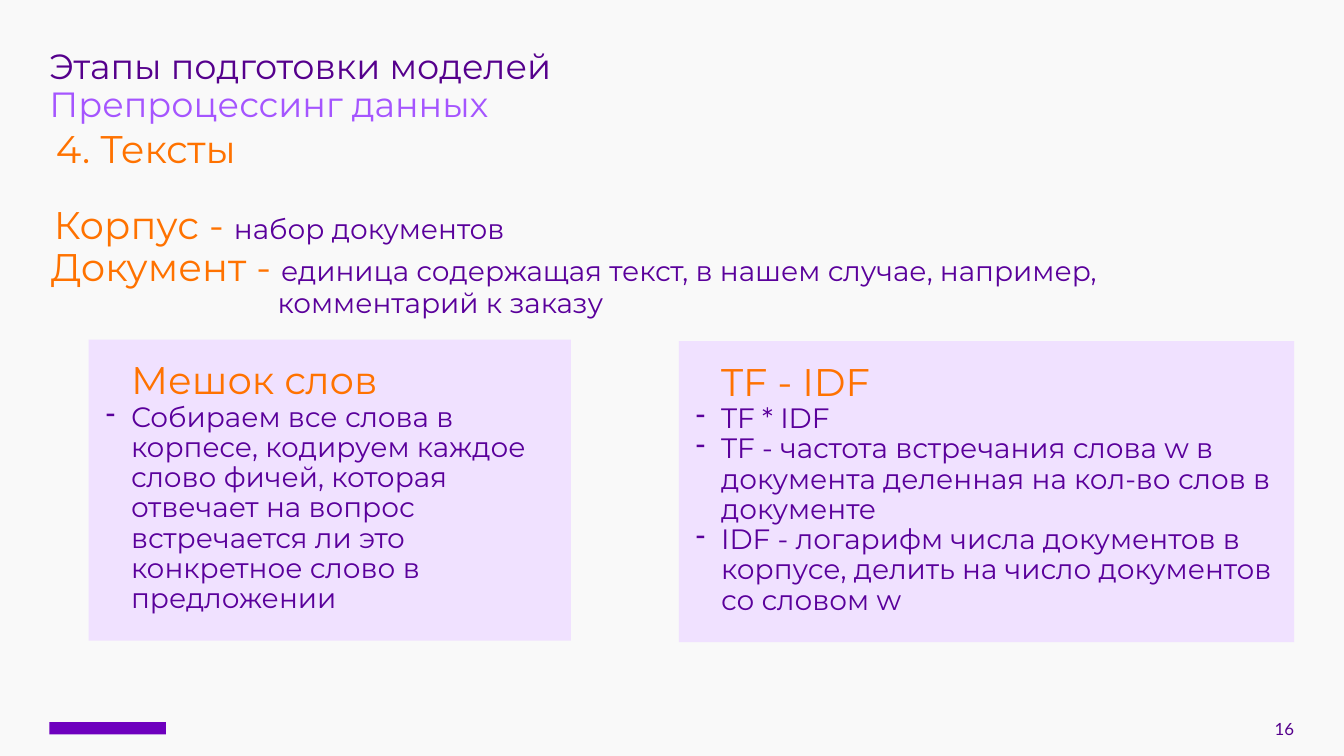
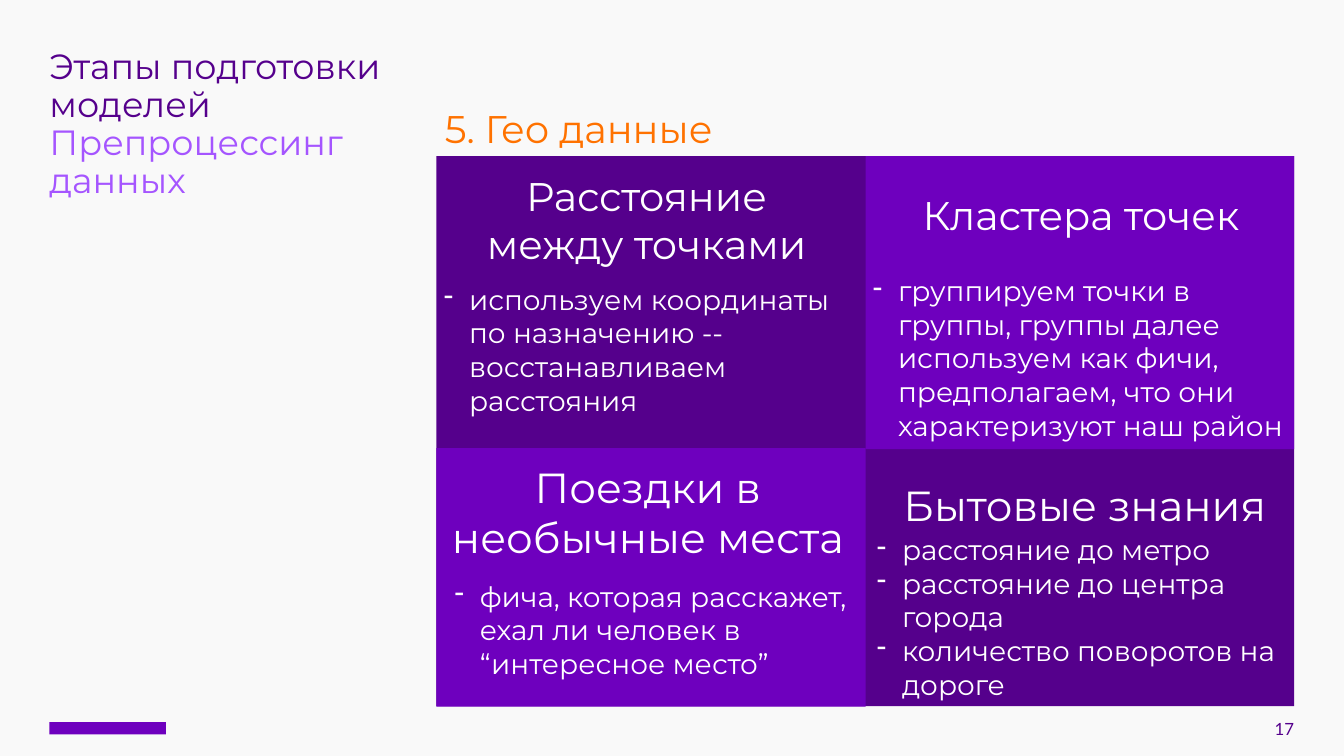
from lxml.etree import SubElement
from pptx import Presentation
from pptx.dml.color import RGBColor
from pptx.enum.shapes import MSO_SHAPE as Preset
from pptx.enum.text import MSO_ANCHOR as Anchor, PP_ALIGN as Align
from pptx.oxml.ns import qn
from pptx.util import Inches, Pt

COLORS = {
    "background": "F9F9F9",
    "title": "55008C",
    "subtitle": "A555FF",
    "heading": "FF7200",
    "body": "5A009B",
    "card": "F0E1FF",
    "dark": "55008C",
    "bright": "6E00BE",
    "white": "FFFFFF",
}
TITLE_SIZE, HEADING_SIZE, BODY_SIZE = 50, 55, 40
TIGHT = 0.9  # line spacing of titles and cards
BULLET = (0.5, -0.53)  # left margin and first-line indent


def add_text(slide, box, paragraphs, line_spacing=None, align=Align.LEFT,
             anchor=Anchor.TOP, font="Montserrat"):
    """Each paragraph is (indent, runs), each run is (text, size, color)."""
    frame = slide.shapes.add_textbox(*map(Inches, box)).text_frame
    frame.word_wrap = True
    frame.vertical_anchor = anchor
    frame.margin_left = frame.margin_right = 0
    frame.margin_top = frame.margin_bottom = 0
    for index, (indent, runs) in enumerate(paragraphs):
        paragraph = frame.paragraphs[0] if index == 0 else frame.add_paragraph()
        properties = paragraph._p.get_or_add_pPr()
        if indent == BULLET:
            bullet_color = SubElement(properties, qn("a:buClr"))
            SubElement(bullet_color, qn("a:srgbClr"), val=COLORS[runs[0][2]])
            SubElement(properties, qn("a:buChar"), char="-")
        properties.set("marL", str(Inches(indent[0])))
        properties.set("indent", str(Inches(indent[1])))
        paragraph.alignment = align
        if line_spacing:
            paragraph.line_spacing = line_spacing
        for text, size, color in runs:
            run = paragraph.add_run()
            run.text = text
            run.font.name = font
            run.font.size = Pt(size)
            run.font.color.rgb = RGBColor.from_string(COLORS[color])


def add_panel(slide, box, color):
    shape = slide.shapes.add_shape(Preset.RECTANGLE, *map(Inches, box))
    shape.shadow.inherit = False
    shape.fill.solid()
    shape.fill.fore_color.rgb = RGBColor.from_string(COLORS[color])
    shape.line.fill.background()


presentation = Presentation()
presentation.slide_width = Inches(26.67)
presentation.slide_height = Inches(15)

# Shared parts: background, title, section heading, footer
sections = [
    # page number, title width, heading, heading position
    (16, 11.89, "4. Тексты", (0.61, 2.59)),
    (17, 7.48, "5. Гео данные", (8.33, 2.18)),
]
slides = []
for number, title_width, heading, (left, top) in sections:
    slide = presentation.slides.add_slide(presentation.slide_layouts[6])
    slide.background.fill.solid()
    slide.background.fill.fore_color.rgb = RGBColor.from_string(COLORS["background"])
    add_text(slide, (0.98, 0.98, title_width, 2.9), [
        ((0, 0), [("Этапы подготовки моделей", TITLE_SIZE, "title")]),
        ((0, 0), [("Препроцессинг данных", TITLE_SIZE, "subtitle")]),
    ], TIGHT)
    add_text(slide, (left, top, 14.66, 1),
             [((0.5, 0), [(heading, HEADING_SIZE, "heading")])], TIGHT)
    add_panel(slide, (0.98, 14.33, 2.31, 0.24), "bright")
    add_text(slide, (19.68, 13.86, 6, 0.8), [((0, 0), [(str(number), 24, "title")])],
             align=Align.RIGHT, anchor=Anchor.BOTTOM, font="Lato")
    slides.append(slide)
text_slide, geo_slide = slides

# Texts: definitions
add_text(text_slide, (0.57, 4.1, 24.7, 2.3), [
    ((0.5, 0), [("Корпус - ", HEADING_SIZE, "heading"),
                ("набор документов", BODY_SIZE, "body")]),
    ((0.44, 0), [("Документ - ", HEADING_SIZE, "heading"),
                 ("единица содержащая текст, в нашем случае, например,", BODY_SIZE, "body")]),
    ((4.94, 0), [("комментарий к заказу", BODY_SIZE, "body")]),
], TIGHT)

# Texts: one card per method
cards = [
    ((1.76, 6.74, 9.57, 5.97), "Мешок слов", [
        "Собираем все слова в корпeсе, кодируем каждое слово фичей, которая "
        "отвечает на вопрос встречается ли это конкретное слово в предложении",
    ]),
    ((13.47, 6.77, 12.21, 5.97), "TF - IDF", [
        "TF * IDF",
        "TF - частота встречания слова w в документа деленная на кол-во слов в документе",
        "IDF - логарифм числа документов в корпусе, делить на число документов со словом w",
    ]),
]
for (left, top, width, height), heading, points in cards:
    add_panel(text_slide, (left, top, width, height), "card")
    add_text(text_slide, (left + 0.34, top + 0.43, width - 0.58, 5.13),
             [((0.5, 0), [(heading, HEADING_SIZE, "heading")])]
             + [(BULLET, [(point, BODY_SIZE, "body")]) for point in points], TIGHT)

# Geo data: dark field with two bright quarters
add_panel(geo_slide, (8.66, 3.1, 17.02, 10.91), "dark")
add_panel(geo_slide, (17.18, 3.1, 8.5, 5.81), "bright")
add_panel(geo_slide, (8.66, 8.89, 8.52, 5.13), "bright")

# Geo data: heading and points of each quarter
quarters = [
    ("Расстояние между точками", 57, (9.22, 3.4, 7.22, 1.96), (8.81, 5.6, 8.19, 2.72),
     ["используем координаты по назначению -- восстанавливаем расстояния"]),
    ("Кластера точек", 57, (17.84, 3.79, 7.22, 1.96), (17.32, 5.43, 8.19, 3.08),
     ["группируем точки в группы, группы далее используем как фичи, "
      "предполагаем, что они характеризуют наш район"]),
    ("Поездки в необычные места", 60, (8.66, 9.15, 8.39, 1.96), (9.02, 11.49, 7.81, 3.86),
     ["фича, которая расскажет, ехал ли человек в “интересное место”"]),
    ("Бытовые знания", 60, (17.56, 9.52, 7.93, 1.6), (17.4, 10.57, 8.5, 3.4),
     ["расстояние до метро", "расстояние до центра города",
      "количество поворотов на дороге"]),
]
for heading, size, heading_box, points_box, points in quarters:
    add_text(geo_slide, heading_box, [((0, 0), [(heading, size, "white")])],
             align=Align.CENTER)
    add_text(geo_slide, points_box,
             [(BULLET, [(point, BODY_SIZE, "white")]) for point in points])

presentation.save("out.pptx")
